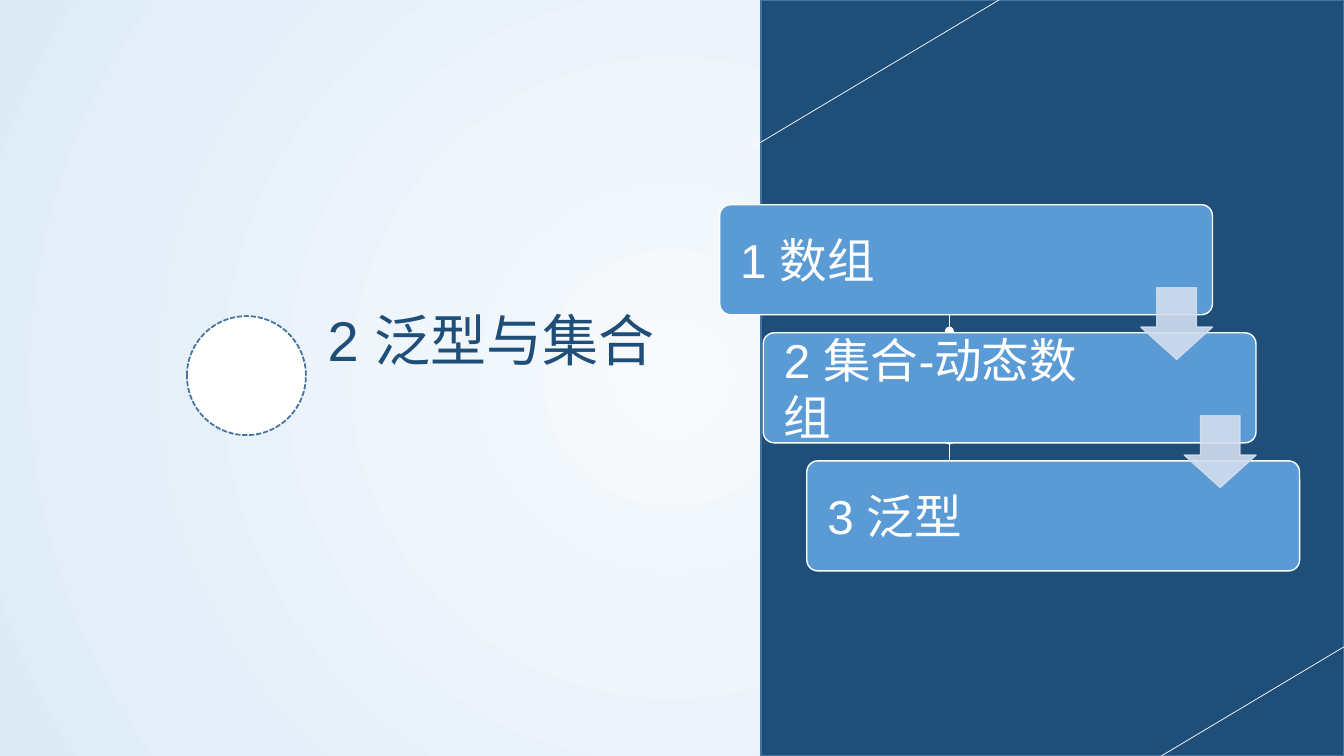
from dataclasses import dataclass

from lxml.etree import SubElement
from pptx import Presentation
from pptx.dml.color import RGBColor
from pptx.enum.dml import MSO_LINE
from pptx.enum.shapes import MSO_CONNECTOR, MSO_SHAPE
from pptx.enum.text import MSO_ANCHOR, MSO_AUTO_SIZE, PP_ALIGN
from pptx.oxml.ns import qn
from pptx.util import Pt

# Content
TITLE = "2 泛型与集合"
STEPS = ["1 数组", "2 集合-动态数组", "3 泛型"]


@dataclass(frozen=True)
class Theme:
    font: str = "Arial"
    title_size: float = 40
    step_size: float = 34
    white: str = "FFFFFF"
    navy: str = "1F4E79"
    outline: str = "43739E"
    card: str = "5B9BD5"
    arrow: str = "D2DEEF"
    glow: str = "F7FAFD"
    edge: str = "DEEBF7"


THEME = Theme()

# Geometry in points
SLIDE_W, SLIDE_H = 960, 540
PANEL_LEFT = 543.6
TITLE_BOX = (226.8, 198.7, 295.2, 72)
RING = (133.5, 225.8, 85, 85)
DIAGONALS = [(746, -19.4, 536.4, 105.8), (1006.6, 434.2, 797, 559.4)]
THREAD_X = 678.2
THREADS = [(162.7, 234), (315.4, 386.6)]
DOTS = [(674.9, 233.3, 6.5, 7.2), (673.9, 308.9, 8.6, 8.6)]
CARD_LEFT, CARD_TOP, CARD_W, CARD_H = 514.1, 146.2, 352, 78.6
STEP_X, STEP_Y = 31.1, 91.5
LABEL_LEFT, LABEL_RIGHT = 12.4, 94.6
ARROW, ARROW_DROP = 51.2, 59.3


def rgb(code):
    return RGBColor.from_string(code)


def add_part(slide, kind, box, fill, line=None, width=1):
    part = slide.shapes.add_shape(kind, *map(Pt, box))
    part.shadow.inherit = False
    part.fill.solid()
    part.fill.fore_color.rgb = rgb(fill)
    if line:
        part.line.color.rgb = rgb(line)
        part.line.width = Pt(width)
    else:
        part.line.fill.background()
    return part


def add_line(slide, ends, width):
    line = slide.shapes.add_connector(MSO_CONNECTOR.STRAIGHT, *map(Pt, ends))
    line.line.color.rgb = rgb(THEME.white)
    line.line.width = Pt(width)
    SubElement(line.element.spPr, qn("a:effectLst"))


def write(frame, text, size, color, anchor):
    frame.text = text
    frame.word_wrap = True
    frame.auto_size = MSO_AUTO_SIZE.NONE
    frame.vertical_anchor = anchor
    paragraph = frame.paragraphs[0]
    paragraph.alignment = PP_ALIGN.LEFT
    font = paragraph.runs[0].font
    font.name, font.size, font.color.rgb = THEME.font, Pt(size), rgb(color)
    return paragraph


def paint_background(slide):
    fill = slide.background.fill
    fill.gradient()
    for stop, color in zip(fill.gradient_stops, (THEME.glow, THEME.edge)):
        stop.color.rgb = rgb(color)
    gradient = next(slide.element.iter(qn("a:gradFill")))
    gradient.remove(gradient.find(qn("a:lin")))
    circle = SubElement(gradient, qn("a:path"), {"path": "circle"})
    SubElement(circle, qn("a:fillToRect"), dict.fromkeys("ltrb", "50000"))


def add_decoration(slide):
    ring = add_part(slide, MSO_SHAPE.OVAL, RING, THEME.white, THEME.outline, 1.25)
    ring.line.dash_style = MSO_LINE.SQUARE_DOT
    panel = (PANEL_LEFT, 0, SLIDE_W - PANEL_LEFT, SLIDE_H)
    add_part(slide, MSO_SHAPE.RECTANGLE, panel, THEME.navy, THEME.outline)
    for ends in DIAGONALS:
        add_line(slide, ends, 0.5)
    for top, bottom in THREADS:
        add_line(slide, (THREAD_X, top, THREAD_X, bottom), 1)
    for dot in DOTS:
        add_part(slide, MSO_SHAPE.OVAL, dot, THEME.white)


def add_title(slide):
    title = slide.shapes.title
    title.left, title.top, title.width, title.height = map(Pt, TITLE_BOX)
    paragraph = write(title.text_frame, TITLE, THEME.title_size, THEME.navy, MSO_ANCHOR.BOTTOM)
    paragraph.line_spacing = 0.9


def add_steps(slide):
    corners = [(CARD_LEFT + i * STEP_X, CARD_TOP + i * STEP_Y) for i in range(len(STEPS))]
    for label, (left, top) in zip(STEPS, corners):
        card = add_part(slide, MSO_SHAPE.ROUNDED_RECTANGLE, (left, top, CARD_W, CARD_H),
                        THEME.card, THEME.white)
        card.adjustments[0] = 0.1
        frame = card.text_frame
        frame.margin_left, frame.margin_right = Pt(LABEL_LEFT), Pt(LABEL_RIGHT)
        frame.margin_top = frame.margin_bottom = 0
        write(frame, label, THEME.step_size, THEME.white, MSO_ANCHOR.MIDDLE)

    # Arrows sit flush with the right edge of the card they leave
    for left, top in corners[:-1]:
        box = (left + CARD_W - ARROW, top + ARROW_DROP, ARROW, ARROW)
        arrow = add_part(slide, MSO_SHAPE.DOWN_ARROW, box, THEME.arrow, THEME.arrow)
        arrow.adjustments[0], arrow.adjustments[1] = 0.55, 0.45
        for color in arrow.element.spPr.iter(qn("a:srgbClr")):
            SubElement(color, qn("a:alpha"), {"val": "90000"})


def main():
    deck = Presentation()
    deck.slide_width, deck.slide_height = Pt(SLIDE_W), Pt(SLIDE_H)
    slide = deck.slides.add_slide(deck.slide_layouts[5])
    paint_background(slide)
    add_decoration(slide)
    add_title(slide)
    add_steps(slide)
    deck.save("out.pptx")


if __name__ == "__main__":
    main()
